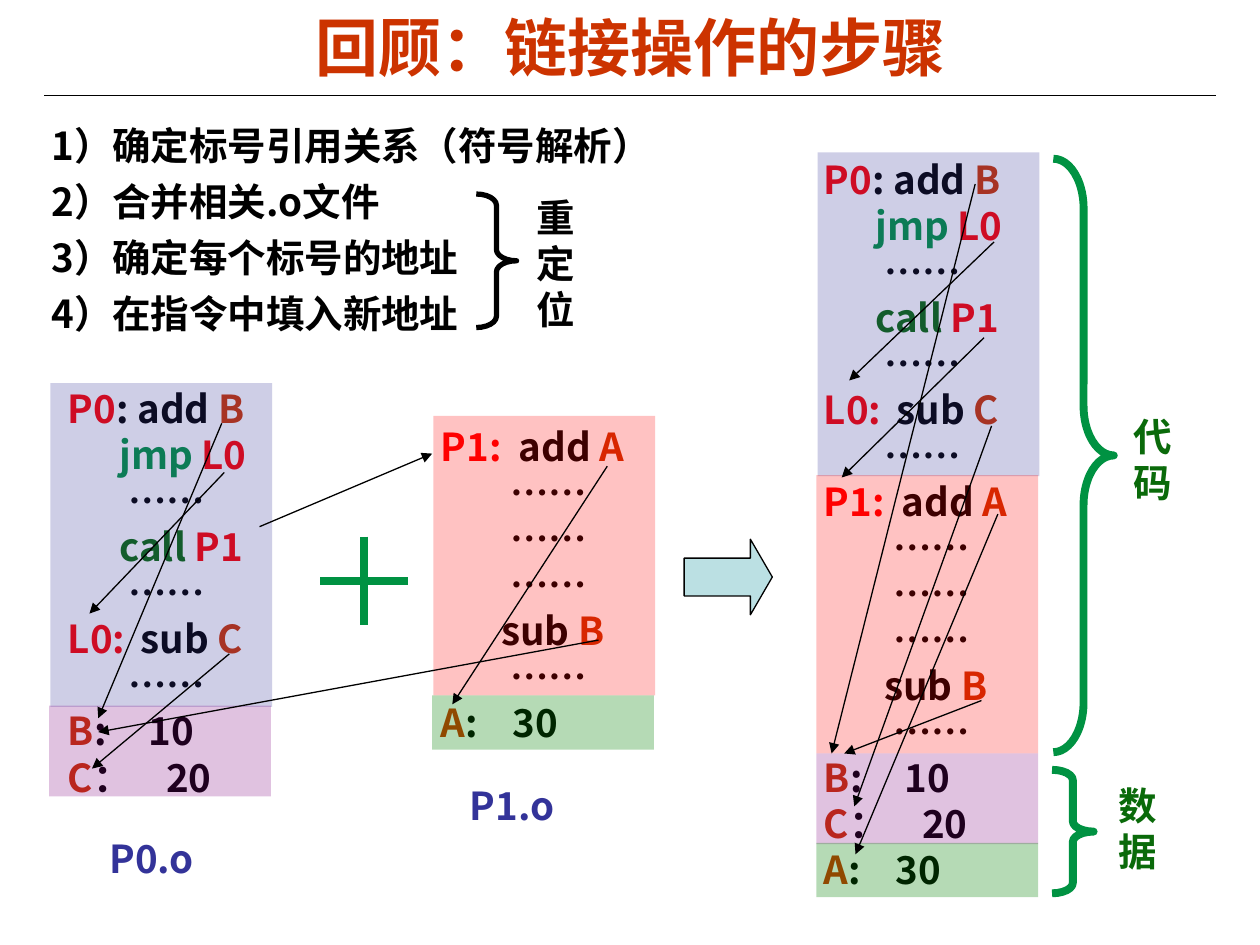
import pptx
import pptx.util
import pptx.dml.color
import pptx.enum.shapes
import pptx.enum.text
import pptx.oxml
import pptx.oxml.ns
from typing import NamedTuple

Inches, Pt = pptx.util.Inches, pptx.util.Pt
Shape = pptx.enum.shapes.MSO_SHAPE
NS = pptx.oxml.ns.nsdecls("a")
NOTO, ARIAL = "Noto Sans CJK SC", "Arial"
RED, RUST, BLACK = "FF0000", "CC3300", "000000"
GREEN, DARK, BLUE = "009242", "0A6A0A", "333399"


class Run(NamedTuple):
    text: str
    hue: str = BLACK


class Row(NamedTuple):
    runs: list[Run]
    left: float = 0
    tab: float = 0


class Label(NamedTuple):
    box: tuple
    rows: list[Row]
    face: str = NOTO


class Block(NamedTuple):
    box: tuple
    hue: str
    alpha: int = 24


class Brace(NamedTuple):
    box: tuple
    bend: float
    hue: str = GREEN
    width: float = 4.5


class Line(NamedTuple):
    start: tuple
    end: tuple
    hue: str = BLACK
    width: float = 0.75
    head: bool = True


def color(code: str):
    return pptx.dml.color.RGBColor.from_string(code)


def apply(target, values: dict) -> None:
    for key, value in values.items():
        setattr(target, key, value)


def node(tag: str, rest: str = "", body: str = ""):
    return pptx.oxml.parse_xml(f"<a:{tag} {NS} {rest}>{body}</a:{tag}>")


def write(frame, rows: list[Row], face: str, size=22, space=26.3, after=0.0) -> None:
    for i, row in enumerate(rows):
        para = frame.add_paragraph() if i else frame.paragraphs[0]
        style = {"space_before": Pt(0), "space_after": Pt(after)}
        if space:
            style["line_spacing"] = Pt(space)
        apply(para, style)
        props = para._p.get_or_add_pPr()
        if row.left:
            props.set("marL", str(Inches(row.left)))
        if row.tab:
            stop = f'<a:tab pos="{Inches(row.tab)}" algn="l"/>'
            props.append(node("tabLst", body=stop))
        for part in row.runs:
            run = para.add_run()
            run.text = part.text
            apply(run.font, {"name": face, "size": Pt(size), "bold": True})
            run.font.color.rgb = color(part.hue)
            run._r.get_or_add_rPr().append(node("ea", f'typeface="{NOTO}"'))


def draw_label(slide, label: Label, **style) -> None:
    box = slide.shapes.add_textbox(*map(Inches, label.box))
    box.text_frame.word_wrap = True
    write(box.text_frame, label.rows, label.face, **style)


def draw_shape(slide, kind, box: tuple, bends=()):
    shape = slide.shapes.add_shape(kind, *map(Inches, box))
    shape.shadow.inherit = False
    for i, bend in enumerate(bends):
        shape.adjustments[i] = bend
    return shape


def draw_block(slide, block: Block) -> None:
    shape = draw_shape(slide, Shape.RECTANGLE, block.box)
    shape.fill.solid()
    shape.fill.fore_color.rgb = color(block.hue)
    tint = shape._element.spPr.find(".//" + pptx.oxml.ns.qn("a:srgbClr"))
    tint.append(node("alpha", f'val="{block.alpha * 1000}"'))
    shape.line.fill.background()


def stroke(line, hue: str, width: float) -> None:
    line.color.rgb = color(hue)
    line.width = Pt(width)


def draw_brace(slide, brace: Brace) -> None:
    shape = draw_shape(slide, Shape.RIGHT_BRACE, brace.box, (brace.bend, 0.5))
    shape.fill.background()
    stroke(shape.line, brace.hue, brace.width)


def draw_line(slide, line: Line) -> None:
    kind = pptx.enum.shapes.MSO_CONNECTOR.STRAIGHT
    link = slide.shapes.add_connector(kind, *map(Inches, line.start + line.end))
    stroke(link.line, line.hue, line.width)
    if line.head:
        link.line._get_or_add_ln().append(node("tailEnd", 'type="triangle"'))
    link._element.spPr.append(node("effectLst"))


def dots(left: float) -> Row:
    return Row([Run("……")], left)


CODE0 = [
    Row([Run("P0", RED), Run(": add "), Run("B", RUST)]),
    Row([Run("jmp ", GREEN), Run("L0", RED)], 0.41),
    dots(0.48),
    Row([Run("call ", DARK), Run("P1", RED)], 0.41),
    dots(0.48),
    Row([Run("L0:\t", RED), Run("sub "), Run("C", RUST)], tab=0.58),
    dots(0.48),
]
CODE1 = [
    Row([Run("P1:\t", RED), Run("add "), Run("A", RUST)], tab=0.62),
    *[dots(0.55)] * 3,
    Row([Run("sub "), Run("B", RUST)], 0.48),
    dots(0.55),
]
DATA0 = [
    Row([Run("B", RUST), Run(":\t10")], tab=0.64),
    Row([Run("C", RUST), Run("：\t20")], tab=0.78),
]
DATA1 = [Row([Run("A", RUST), Run(":\t30")], tab=0.57)]

STEPS = ["1）确定标号引用关系（符号解析）", "2）合并相关.o文件",
         "3）确定每个标号的地址", "4）在指令中填入新地址"]
LABELS = [
    Label((6.44, 1.19, 2.05, 5.96), CODE0 + CODE1 + DATA0 + DATA1),
    Label((3.4, 3.31, 1.9, 2.66), CODE1 + DATA1),
    Label((0.44, 3.01, 2.05, 3.4), CODE0 + DATA0),
    Label((3.63, 6.16, 1.02, 0.47), [Row([Run("P1.o", BLUE)])]),
    Label((0.77, 6.58, 1.02, 0.47), [Row([Run("P0.o", BLUE)])]),
    Label((8.9, 3.23, 0.7, 0.83), [Row([Run("代码", DARK)])], ARIAL),
    Label((8.78, 6.16, 0.7, 0.83), [Row([Run("数据", DARK)])], ARIAL),
    Label((4.16, 1.49, 0.59, 1.2), [Row([Run("重定位")])], ARIAL),
]
BLOCKS = [
    Block((6.49, 1.21, 1.76, 2.57), BLUE),
    Block((6.48, 3.77, 1.76, 2.21), RED),
    Block((6.48, 5.98, 1.76, 0.72), "800080"),
    Block((6.48, 6.69, 1.76, 0.43), "008000", 29),
    Block((3.44, 3.3, 1.76, 2.22), RED),
    Block((3.43, 5.52, 1.76, 0.43), "008000", 29),
    Block((0.4, 3.04, 1.76, 2.57), BLUE),
    Block((0.39, 5.6, 1.76, 0.72), "800080"),
]
BRACES = [
    Brace((8.36, 1.26, 0.48, 4.71), 0.82),
    Brace((8.35, 6.11, 0.33, 0.98), 0.25),
    Brace((3.78, 1.54, 0.32, 1.06), 0.28, BLACK, 3),
]
LINES = [
    Line((0.35, 0.76), (9.65, 0.76), head=False),
    Line((2.54, 4.61), (3.24, 4.61), GREEN, 4.5, False),
    Line((2.89, 4.26), (2.89, 4.96), GREEN, 4.5, False),
    Line((7.74, 1.46), (6.6, 5.98)),
    Line((7.79, 5.56), (6.7, 5.98)),
    Line((7.92, 4.08), (6.79, 6.78)),
    Line((7.87, 3.38), (6.78, 6.4)),
    Line((7.89, 1.92), (6.74, 3.02)),
    Line((7.81, 2.68), (6.68, 3.79)),
    Line((2.06, 4.18), (3.43, 3.6)),
    Line((1.78, 3.75), (0.71, 4.87)),
    Line((1.76, 3.36), (0.78, 5.7)),
    Line((1.82, 5.19), (0.73, 6.1)),
    Line((4.82, 3.7), (3.59, 5.59)),
    Line((4.75, 5.08), (0.78, 5.81)),
]


def main() -> None:
    deck = pptx.Presentation()
    apply(deck, {"slide_width": Inches(10), "slide_height": Inches(7.5)})
    slide = deck.slides.add_slide(deck.slide_layouts[5])
    title = slide.shapes.title
    apply(title, {"left": Inches(0.5), "top": Inches(0.06),
                  "width": Inches(9), "height": Inches(0.61)})
    title.text_frame.vertical_anchor = pptx.enum.text.MSO_ANCHOR.MIDDLE
    write(title.text_frame, [Row([Run("回顾：链接操作的步骤", RUST)])], ARIAL, 36, 0)
    steps = Label((0.31, 0.9, 5.27, 1.88), [Row([Run(step)]) for step in STEPS])
    draw_label(slide, steps, space=27.6, after=4.4)
    for label in LABELS:
        draw_label(slide, label)
    for block in BLOCKS:
        draw_block(slide, block)
    for brace in BRACES:
        draw_brace(slide, brace)
    arrow = draw_shape(slide, Shape.RIGHT_ARROW, (5.43, 4.28, 0.7, 0.6), (0.5, 0.29))
    arrow.fill.solid()
    arrow.fill.fore_color.rgb = color("BBE0E3")
    stroke(arrow.line, BLACK, 0.75)
    for line in LINES:
        draw_line(slide, line)
    deck.save("out.pptx")


if __name__ == "__main__":
    main()
